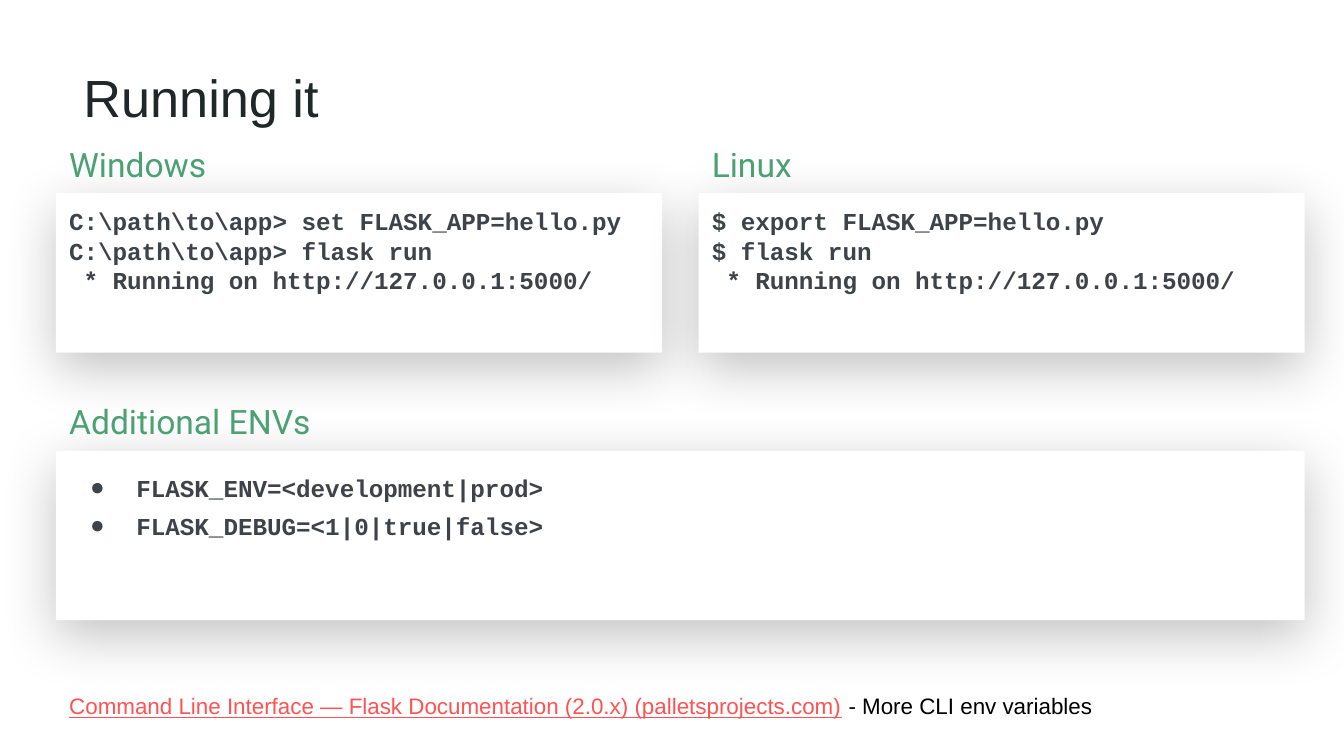
import pptx
import pptx.util
import pptx.dml.color
import pptx.enum.shapes
import pptx.enum.text
from lxml import etree
from pptx.oxml.ns import qn

SCALE = 9525  # EMU per px, 96 px to the inch
SLIDE_SIZE = (960, 540)
INSET = pptx.util.Inches(0.1)

THEME = {
    "title": {"font": "Arial", "size": 28, "color": "202729"},
    "heading": {"font": "Roboto", "size": 18, "color": "4BA173"},
    "code": {"font": "Courier New", "size": 13, "color": "3E4349", "bold": True},
    "footer": {"font": "Arial", "size": 12, "color": "000000"},
    "link": "FF5252",
    "card": "FFFFFF",
    "shadow": "000000",
}

TITLE = "Running it"
TITLE_BOX = (50, 37, 863, 81)
LEFT, RIGHT, GAP = 40, 932, 26
HALF = (RIGHT - LEFT - GAP) // 2
HEADING_HEIGHT, HEADING_OFFSET = 53, 45

# heading, heading width, left, top, card width, card height, bulleted, lines
SECTIONS = [
    ("Windows", 191, LEFT, 93, HALF, 114, False, [
        r"C:\path\to\app> set FLASK_APP=hello.py",
        r"C:\path\to\app> flask run",
        " * Running on http://127.0.0.1:5000/",
    ]),
    ("Linux", 191, LEFT + HALF + GAP, 93, HALF, 114, False, [
        "$ export FLASK_APP=hello.py",
        "$ flask run",
        " * Running on http://127.0.0.1:5000/",
    ]),
    ("Additional ENVs", 260, LEFT, 277, RIGHT - LEFT, 121, True, [
        "FLASK_ENV=<development|prod>",
        "FLASK_DEBUG=<1|0|true|false>",
    ]),
]
FOOTER_BOX = (LEFT, 485, 835, 38)
FOOTER_LINK = "Command Line Interface — Flask Documentation (2.0.x) (palletsprojects.com)"
FOOTER_NOTE = " - More CLI env variables"


def px(value):
    return pptx.util.Emu(value * SCALE)


def rgb(value):
    return pptx.dml.color.RGBColor.from_string(value)


def style(paragraph, name):
    look = THEME[name]
    paragraph.alignment = pptx.enum.text.PP_ALIGN.LEFT
    paragraph.font.name = look["font"]
    paragraph.font.size = pptx.util.Pt(look["size"])
    paragraph.font.bold = look.get("bold", False)
    paragraph.font.color.rgb = rgb(look["color"])


def prepare_frame(shape):
    frame = shape.text_frame
    frame.word_wrap = True
    frame.vertical_anchor = pptx.enum.text.MSO_ANCHOR.TOP
    frame.margin_left = frame.margin_right = INSET
    frame.margin_top = frame.margin_bottom = INSET
    return frame


def add_text(slide, box, text, name):
    shape = slide.shapes.add_textbox(*map(px, box))
    frame = prepare_frame(shape)
    frame.text = text
    style(frame.paragraphs[0], name)
    return frame


def add_soft_shadow(shape):
    shape.shadow.inherit = False
    effects = shape._element.spPr.find(qn("a:effectLst"))
    shadow = etree.SubElement(
        effects, qn("a:outerShdw"), blurRad=str(pptx.util.Pt(29.2)),
        dist=str(pptx.util.Pt(8.2)), dir="5400000", algn="t", rotWithShape="0")
    color = etree.SubElement(shadow, qn("a:srgbClr"), val=THEME["shadow"])
    etree.SubElement(color, qn("a:alpha"), val="23000")


def add_bullet(paragraph):
    paragraph.line_spacing = 1.3
    properties = paragraph._p.get_or_add_pPr()
    properties.set("marL", str(px(48)))
    properties.set("indent", str(px(-33)))
    color = etree.SubElement(properties, qn("a:buClr"))
    etree.SubElement(color, qn("a:srgbClr"), val=THEME["code"]["color"])
    etree.SubElement(properties, qn("a:buFont"), typeface="Arial")
    etree.SubElement(properties, qn("a:buChar"), char="●")


def add_card(slide, box, lines, bulleted):
    card = slide.shapes.add_shape(
        pptx.enum.shapes.MSO_SHAPE.RECTANGLE, *map(px, box))
    card.fill.solid()
    card.fill.fore_color.rgb = rgb(THEME["card"])
    card.line.fill.background()
    add_soft_shadow(card)
    frame = prepare_frame(card)
    frame.text = "\n".join(lines)
    for paragraph in frame.paragraphs:
        if bulleted:
            add_bullet(paragraph)
        style(paragraph, "code")


def main():
    presentation = pptx.Presentation()
    presentation.slide_width, presentation.slide_height = map(px, SLIDE_SIZE)
    slide = presentation.slides.add_slide(presentation.slide_layouts[5])

    title = slide.shapes.title
    title.left, title.top, title.width, title.height = map(px, TITLE_BOX)
    frame = prepare_frame(title)
    frame.text = TITLE
    style(frame.paragraphs[0], "title")

    for _, _, left, top, width, height, bulleted, lines in SECTIONS:
        add_card(slide, (left, top + HEADING_OFFSET, width, height), lines, bulleted)
    for heading, width, left, top, *_ in SECTIONS:
        add_text(slide, (left, top, width, HEADING_HEIGHT), heading, "heading")

    footer = add_text(slide, FOOTER_BOX, FOOTER_LINK, "footer")
    footer.auto_size = pptx.enum.text.MSO_AUTO_SIZE.SHAPE_TO_FIT_TEXT
    link = footer.paragraphs[0].runs[0]
    link.font.color.rgb = rgb(THEME["link"])
    link.font.underline = True
    footer.paragraphs[0].add_run().text = FOOTER_NOTE

    presentation.save("out.pptx")


if __name__ == "__main__":
    main()
